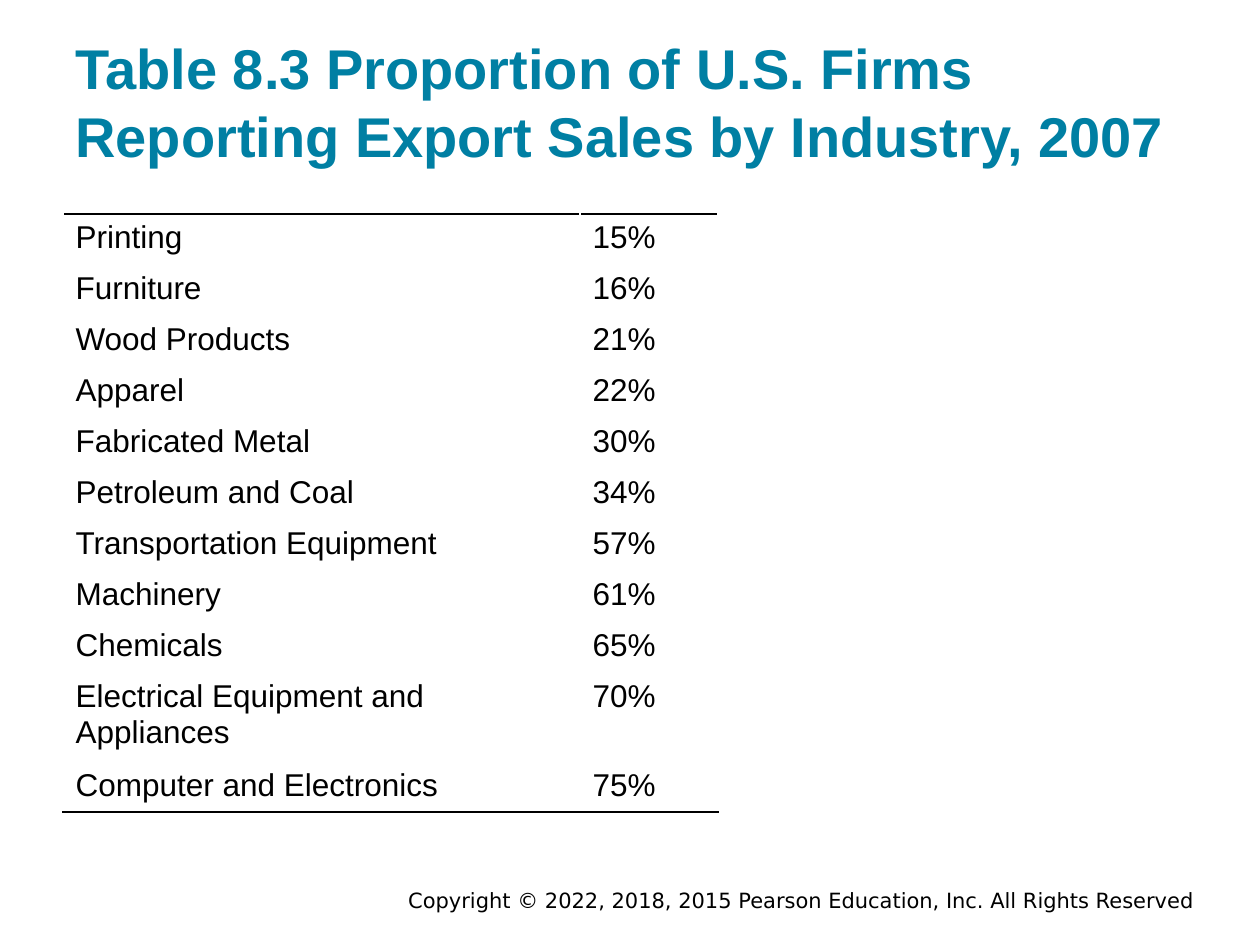
import pptx
import pptx.util
import pptx.dml.color
import pptx.enum.text
import pptx.oxml.ns
from dataclasses import dataclass
from lxml import etree

TITLE = "Table 8.3 Proportion of U.S. Firms Reporting Export Sales by Industry, 2007"
COPYRIGHT = "Copyright © 2022, 2018, 2015 Pearson Education, Inc. All Rights Reserved"
EXPORT_SHARES = [
    ("Printing", "15%"),
    ("Furniture", "16%"),
    ("Wood Products", "21%"),
    ("Apparel", "22%"),
    ("Fabricated Metal", "30%"),
    ("Petroleum and Coal", "34%"),
    ("Transportation Equipment", "57%"),
    ("Machinery", "61%"),
    ("Chemicals", "65%"),
    ("Electrical Equipment and Appliances", "70%"),
    ("Computer and Electronics", "75%"),
]


@dataclass(frozen=True)
class Theme:
    title: str = "007FA3"
    ink: str = "000000"
    paper: str = "FFFFFF"
    font: str = "Arial"
    footer_font: str = "DejaVu Sans"
    title_size: int = 32
    table_size: int = 18
    footer_size: int = 12
    rule_width: int = 1


THEME = Theme()
SLIDE_SIZE = (1260, 945)
TITLE_BOX = (63, 30, 1134, 151)
FOOTER_BOX = (220, 886, 987, 28)
TABLE_LEFT, TABLE_TOP = 63, 214
COLUMN_WIDTHS = (517, 138)
ROW_HEIGHT = 51


def px(length):
    return pptx.util.Emu(round(length * 914400 / 126))


def color(value):
    return pptx.dml.color.RGBColor.from_string(value)


def style(paragraph, size, name=THEME.font, ink=THEME.ink, bold=False):
    font = paragraph.font
    font.size = pptx.util.Pt(size)
    font.name = name
    font.color.rgb = color(ink)
    font.bold = bold


def add_text(page, place, text, anchor, inset):
    """Add a wrapped one-paragraph box and return its paragraph."""
    frame = page.shapes.add_textbox(*map(px, place)).text_frame
    frame.word_wrap = True
    frame.vertical_anchor = anchor
    frame.margin_top = frame.margin_bottom = pptx.util.Inches(inset)
    frame.margin_left = frame.margin_right = pptx.util.Inches(0.1)
    paragraph = frame.paragraphs[0]
    paragraph.text = text
    return paragraph


def add_rule(cell, side):
    """Draw a cell border; side is lnT (top) or lnB (bottom)."""
    qn = pptx.oxml.ns.qn
    line = etree.Element(qn(f"a:{side}"), w=str(pptx.util.Pt(THEME.rule_width)))
    fill = etree.SubElement(line, qn("a:solidFill"))
    etree.SubElement(fill, qn("a:srgbClr"), val=THEME.ink)
    cell._tc.get_or_add_tcPr().insert(0, line)


def add_share_table(page):
    row_count = len(EXPORT_SHARES)
    place = (TABLE_LEFT, TABLE_TOP, sum(COLUMN_WIDTHS), ROW_HEIGHT * row_count)
    table = page.shapes.add_table(row_count, len(COLUMN_WIDTHS), *map(px, place)).table
    table.first_row = table.horz_banding = False
    for column, width in zip(table.columns, COLUMN_WIDTHS):
        column.width = px(width)
    for row, texts in zip(table.rows, EXPORT_SHARES):
        row.height = px(ROW_HEIGHT)
        for cell, text in zip(row.cells, texts):
            cell.fill.solid()
            cell.fill.fore_color.rgb = color(THEME.paper)
            cell.text = text
            style(cell.text_frame.paragraphs[0], THEME.table_size)
    for column in range(len(COLUMN_WIDTHS)):
        add_rule(table.cell(0, column), "lnT")
        add_rule(table.cell(row_count - 1, column), "lnB")


def main():
    deck = pptx.Presentation()
    deck.slide_width, deck.slide_height = map(px, SLIDE_SIZE)
    page = deck.slides.add_slide(deck.slide_layouts[6])
    anchors = pptx.enum.text.MSO_ANCHOR

    footer = add_text(page, FOOTER_BOX, COPYRIGHT, anchors.MIDDLE, 0.05)
    footer.alignment = pptx.enum.text.PP_ALIGN.RIGHT
    style(footer, THEME.footer_size, name=THEME.footer_font)

    title = add_text(page, TITLE_BOX, TITLE, anchors.BOTTOM, 0.1)
    style(title, THEME.title_size, ink=THEME.title, bold=True)

    add_share_table(page)
    deck.save("out.pptx")


if __name__ == "__main__":
    main()
